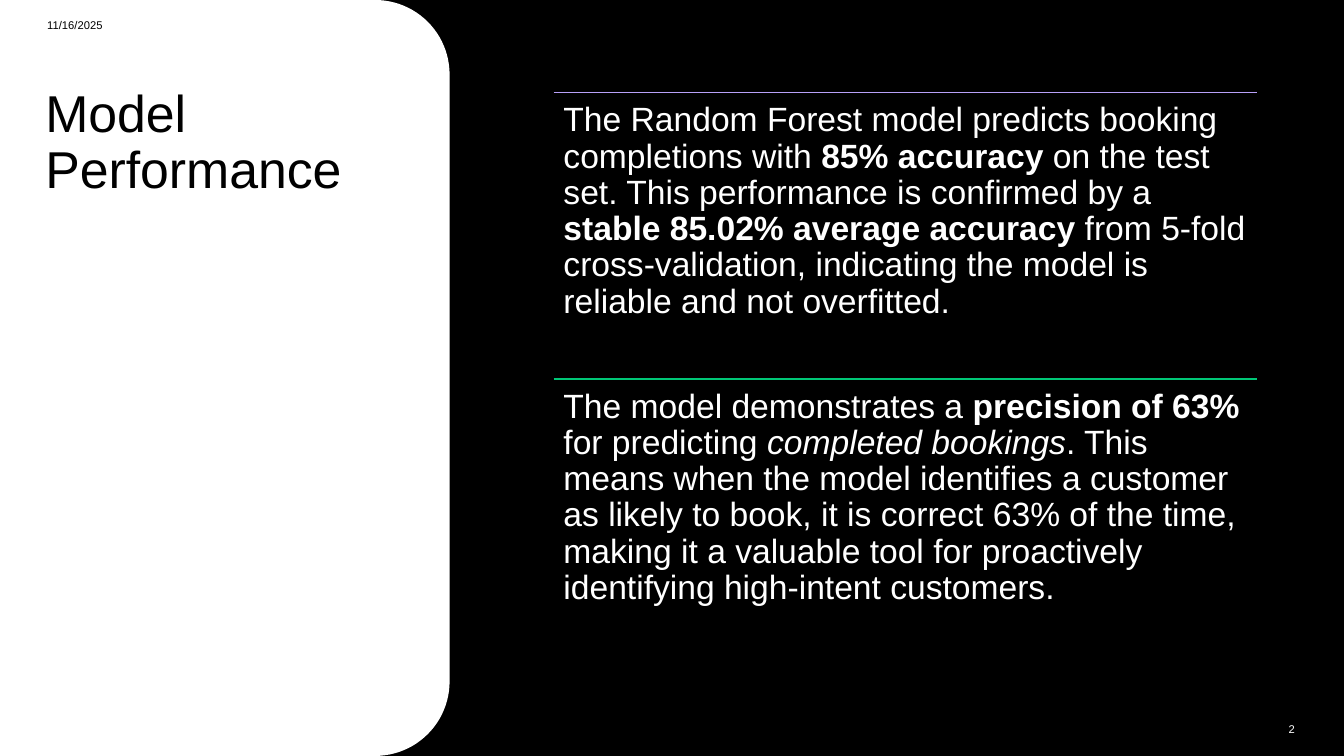
from dataclasses import dataclass
from math import cos, pi, sin

from lxml.etree import SubElement
from pptx import Presentation
from pptx.dml.color import RGBColor
from pptx.enum.text import MSO_ANCHOR, MSO_AUTO_SIZE, PP_ALIGN
from pptx.oxml.ns import qn
from pptx.util import Inches, Pt

TITLE = "Model Performance"
DATE = "11/16/2025"
PAGE_NUMBER = "2"
FINDINGS = [
    ("B8A0F8", [
        ("The Random Forest model predicts booking completions with ", ""),
        ("85% accuracy", "bold"),
        (" on the test set. This performance is confirmed by a ", ""),
        ("stable 85.02% average accuracy", "bold"),
        (" from 5-fold cross-validation, indicating the model is reliable and not overfitted.", ""),
    ]),
    ("00C777", [
        ("The model demonstrates a ", ""),
        ("precision of 63%", "bold"),
        (" for predicting ", ""),
        ("completed bookings", "italic"),
        (". This means when the model identifies a customer as likely to book, it is correct 63% "
         "of the time, making it a valuable tool for proactively identifying high-intent customers.", ""),
    ]),
]


@dataclass(frozen=True)
class Theme:
    font: str = "Arial"
    dark: str = "000000"
    light: str = "FFFFFF"
    title_size: int = 37
    body_size: int = 24
    small_size: int = 8
    line_spacing: float = 0.9


THEME = Theme()
WIDTH, HEIGHT = 13.33, 7.5
PANEL_WIDTH, CORNER, ARC_STEPS = 4.46, 0.74, 24
FINDING_LEFT, FINDING_TOP, FINDING_WIDTH, FINDING_HEIGHT = 5.49, 0.92, 6.98, 2.84


def color(value):
    return RGBColor.from_string(value)


def style(paragraph, size, ink):
    paragraph.font.name = THEME.font
    paragraph.font.size = Pt(size)
    paragraph.font.color.rgb = color(ink)


def add_box(page, left, top, width, height, anchor):
    box = page.shapes.add_textbox(Inches(left), Inches(top), Inches(width), Inches(height))
    box.text_frame.word_wrap = True
    box.text_frame.vertical_anchor = anchor
    return box.text_frame


def add_panel(page):
    angles = [step * pi / 2 / ARC_STEPS for step in range(ARC_STEPS + 1)]
    center = PANEL_WIDTH - CORNER
    upper = [(center + CORNER * sin(a), CORNER - CORNER * cos(a)) for a in angles]
    lower = [(x, HEIGHT - y) for x, y in reversed(upper)]
    outline = [(Inches(x), Inches(y)) for x, y in upper + lower + [(0, HEIGHT)]]
    builder = page.shapes.build_freeform(0, 0)
    builder.add_line_segments(outline, close=True)
    panel = builder.convert_to_shape()
    panel.shadow.inherit = False
    panel.fill.solid()
    panel.fill.fore_color.rgb = color(THEME.light)
    panel.line.fill.background()


def add_title(page):
    title = page.shapes.title
    title.left, title.top = Inches(0.35), Inches(0.82)
    title.width, title.height = Inches(3.53), Inches(5.95)
    frame = title.text_frame
    frame.text = TITLE
    frame.word_wrap = True
    frame.auto_size = MSO_AUTO_SIZE.NONE
    frame.vertical_anchor = MSO_ANCHOR.TOP
    para = frame.paragraphs[0]
    para.alignment = PP_ALIGN.LEFT
    para.line_spacing = THEME.line_spacing
    style(para, THEME.title_size, THEME.dark)


def add_label(page, text, place, ink, alignment):
    para = add_box(page, *place, MSO_ANCHOR.MIDDLE).paragraphs[0]
    para.text = text
    para.alignment = alignment
    para.space_after = Pt(6)
    style(para, THEME.small_size, ink)


def add_finding(page, top, rule_color, spans):
    rule = page.shapes.add_connector(
        1, Inches(FINDING_LEFT), Inches(top), Inches(FINDING_LEFT + FINDING_WIDTH), Inches(top))
    rule.line.color.rgb = color(rule_color)
    rule.line.width = Pt(1)
    SubElement(rule._element.spPr, qn("a:effectLst"))

    frame = add_box(page, FINDING_LEFT, top, FINDING_WIDTH, FINDING_HEIGHT, MSO_ANCHOR.TOP)
    frame.margin_left = frame.margin_right = frame.margin_top = frame.margin_bottom = Inches(0.1)
    para = frame.paragraphs[0]
    para.line_spacing = THEME.line_spacing
    style(para, THEME.body_size, THEME.light)
    for text, emphasis in spans:
        span = para.add_run()
        span.text = text
        span.font.bold = emphasis == "bold"
        span.font.italic = emphasis == "italic"


def main():
    """Build the model performance slide."""
    deck = Presentation()
    deck.slide_width, deck.slide_height = Inches(WIDTH), Inches(HEIGHT)
    page = deck.slides.add_slide(deck.slide_layouts[5])
    page.background.fill.solid()
    page.background.fill.fore_color.rgb = color(THEME.dark)
    add_panel(page)
    page.shapes._spTree.append(page.shapes.title._element)
    add_title(page)
    add_label(page, DATE, (0.37, 0.07, 3, 0.35), THEME.dark, PP_ALIGN.LEFT)
    add_label(page, PAGE_NUMBER, (12.47, 7.03, 0.47, 0.4), THEME.light, PP_ALIGN.RIGHT)
    for index, (rule_color, spans) in enumerate(FINDINGS):
        add_finding(page, FINDING_TOP + index * FINDING_HEIGHT, rule_color, spans)
    deck.save("out.pptx")


if __name__ == "__main__":
    main()
